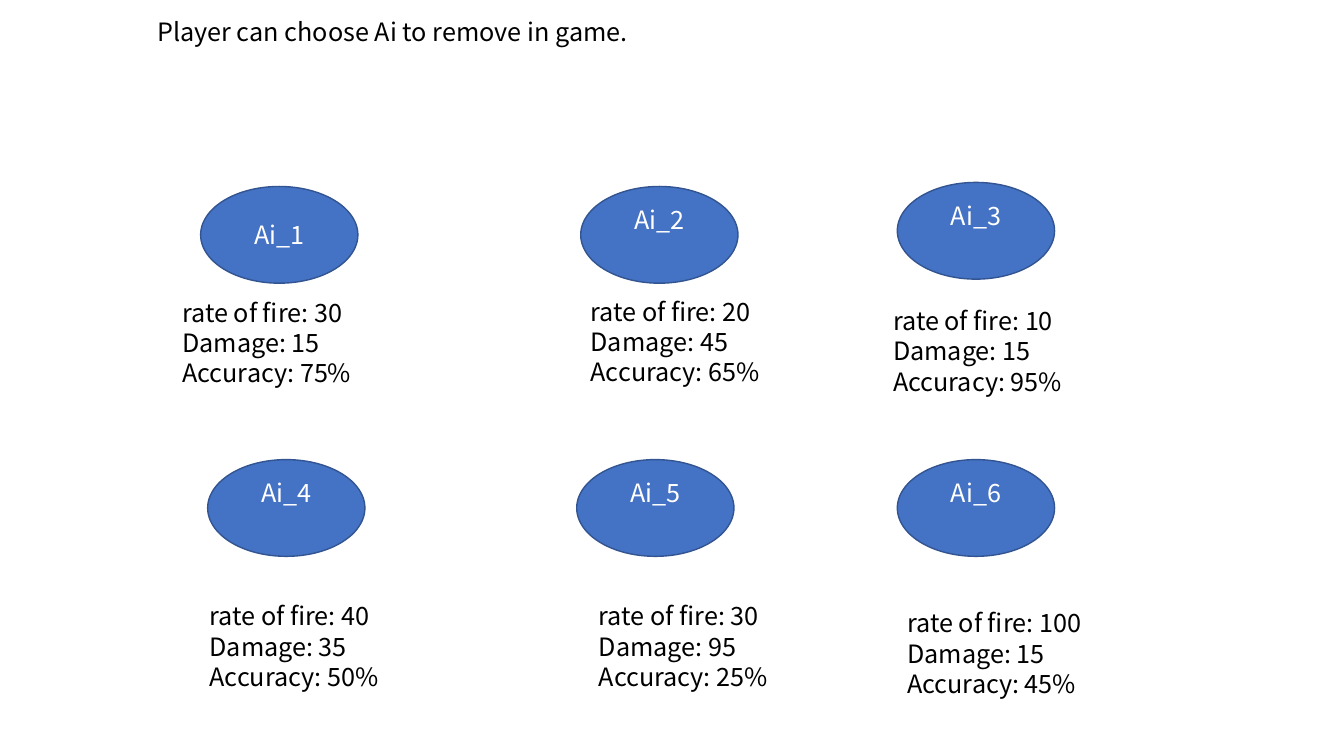
"""Build the slide on which a player chooses an Ai to remove."""
from pptx import Presentation
from pptx.dml.color import RGBColor
from pptx.enum.shapes import MSO_SHAPE as SHAPE
from pptx.enum.text import MSO_ANCHOR as ANCHOR, MSO_AUTO_SIZE as AUTO, PP_ALIGN as ALIGN
from pptx.util import Inches, Pt

FONT = "Noto Sans CJK KR"
BLUE = RGBColor(0x44, 0x72, 0xC4)
NAVY = RGBColor(0x32, 0x54, 0x91)
WHITE = RGBColor(0xFF, 0xFF, 0xFF)
BLACK = RGBColor(0x00, 0x00, 0x00)
OVAL_W, OVAL_H = 1.56, 0.96
STATS_W, STATS_H = 2.36, 1.18
LABEL_LIFT = 0.35
COLUMNS = (1.99, 5.76, 8.9)
ROWS = (1.85, 4.56)
STATS_ROWS = (2.9, 5.91)
# name, (rate, damage, accuracy), oval nudge, stats nudge
PLAYERS = (
    ("Ai_1", (30, 15, 75), (0, 0), (-0.28, 0)),
    ("Ai_2", (20, 45, 65), (0, 0), (0, -0.01)),
    ("Ai_3", (10, 15, 95), (0, -0.04), (-0.14, 0.08)),
    ("Ai_4", (40, 35, 50), (0.07, 0), (-0.01, 0)),
    ("Ai_5", (30, 95, 25), (-0.04, 0), (0.08, 0)),
    ("Ai_6", (100, 15, 45), (0, 0), (0, 0.07)),
)


def write(tf, lines, color, align=ALIGN.LEFT):
    """Write one paragraph per line into a text frame."""
    tf.word_wrap = True
    for i, line in enumerate(lines):
        p = tf.paragraphs[0] if i == 0 else tf.add_paragraph()
        p.alignment = align
        r = p.add_run()
        r.text = line
        r.font.name = FONT
        r.font.size = Pt(18)
        r.font.color.rgb = color


def add_title(s, text):
    """Place the heading in the title placeholder."""
    sp = s.shapes.title
    sp.left, sp.top, sp.width, sp.height = map(Inches, (1.46, 0.11, 7.53, 0.4))
    tf = sp.text_frame
    tf.auto_size = AUTO.NONE
    tf.vertical_anchor = ANCHOR.TOP
    write(tf, [text], BLACK)
    tf.paragraphs[0].line_spacing = 1.0


def add_oval(s, x, y, name, lift):
    """Draw a named oval whose label sits above the middle when lifted."""
    sp = s.shapes.add_shape(SHAPE.OVAL, *map(Inches, (x, y, OVAL_W, OVAL_H)))
    sp.shadow.inherit = False
    sp.fill.solid()
    sp.fill.fore_color.rgb = BLUE
    sp.line.color.rgb = NAVY
    sp.line.width = Pt(1)
    tf = sp.text_frame
    tf.vertical_anchor = ANCHOR.MIDDLE
    tf.margin_bottom = Inches(lift)
    write(tf, [name], WHITE, ALIGN.CENTER)


def add_stats(s, x, y, rate, damage, accuracy):
    """Add the three lines of statistics for one Ai."""
    sp = s.shapes.add_textbox(*map(Inches, (x, y, STATS_W, STATS_H)))
    lines = (f"rate of fire: {rate}", f"Damage: {damage}", f"Accuracy: {accuracy}%")
    write(sp.text_frame, lines, BLACK)


def main():
    """Lay the six Ais out in a grid and save the slide."""
    prs = Presentation()
    prs.slide_width, prs.slide_height = Inches(13.33), Inches(7.5)
    s = prs.slides.add_slide(prs.slide_layouts[5])
    add_title(s, "Player can choose Ai to remove in game.")
    for i, (name, stats, (dx, dy), (tx, ty)) in enumerate(PLAYERS):
        row, col = divmod(i, len(COLUMNS))
        lift = LABEL_LIFT if i else 0.05
        add_oval(s, COLUMNS[col] + dx, ROWS[row] + dy, name, lift)
        add_stats(s, COLUMNS[col] + tx, STATS_ROWS[row] + ty, *stats)
    prs.save("out.pptx")


if __name__ == "__main__":
    main()
